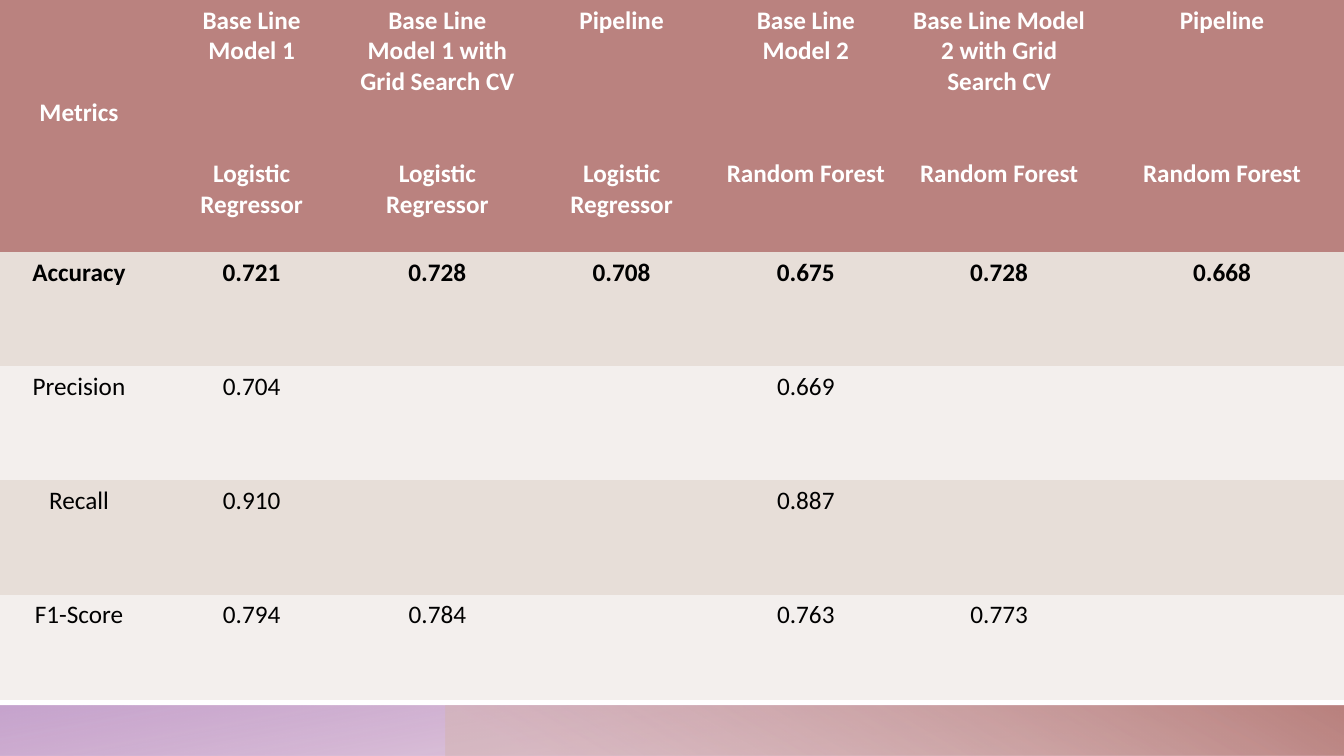
from lxml import etree
from pptx import Presentation
from pptx.dml.color import RGBColor
from pptx.enum import shapes, text
from pptx.oxml.ns import qn
from pptx.util import Inches, Pt

ROSE = RGBColor(0xBA, 0x82, 0x7F)
PALE_ROSE = RGBColor(0xD6, 0xB4, 0xB2)
MAUVE = RGBColor(0xBA, 0x7F, 0xAD)
LILAC = RGBColor(0xBC, 0x94, 0xC5)
SAND = RGBColor(0xE7, 0xDE, 0xD8)
LIGHT_SAND = RGBColor(0xF3, 0xEF, 0xED)
WHITE = RGBColor(0xFF, 0xFF, 0xFF)
BLACK = RGBColor(0, 0, 0)

FONT = "Calibri"
FONT_SIZE = 18
LINE_HEIGHT = 22
MODEL_LINE = 5
NO_GRID_STYLE = "{2D5ABB26-0587-4C30-8999-92F81FD0307C}"

COLUMN_WIDTHS = [1.57, 1.86, 1.83, 1.83, 1.83, 2.01, 2.42]
ROW_HEIGHTS = [2.5, 1.13, 1.13, 1.13, 1.05]

HEADERS = [
    ("Base Line Model 1", "Logistic Regressor", 2),
    ("Base Line Model 1 with Grid Search CV", "Logistic Regressor", 3),
    ("Pipeline", "Logistic Regressor", 1),
    ("Base Line Model 2", "Random Forest", 2),
    ("Base Line Model 2 with Grid Search CV", "Random Forest", 3),
    ("Pipeline", "Random Forest", 1),
]
SCORES = [
    ["Accuracy", "0.721", "0.728", "0.708", "0.675", "0.728", "0.668"],
    ["Precision", "0.704", "", "", "0.669", "", ""],
    ["Recall", "0.910", "", "", "0.887", "", ""],
    ["F1-Score", "0.794", "0.784", "", "0.763", "0.773", ""],
]


def write_text(paragraph, content, color=BLACK, bold=False, space_before=0):
    paragraph.alignment = text.PP_ALIGN.CENTER
    paragraph.space_before = Pt(space_before)
    run = paragraph.add_run()
    run.text = content
    run.font.name = FONT
    run.font.size = Pt(FONT_SIZE)
    run.font.bold = bold
    run.font.color.rgb = color


def fill_cell(cell, color):
    cell.fill.solid()
    cell.fill.fore_color.rgb = color


def add_band(slide, left, top, width, height, stops, angle, rotation=0):
    band = slide.shapes.add_shape(
        shapes.MSO_SHAPE.RECTANGLE,
        Inches(left), Inches(top), Inches(width), Inches(height))
    band.shadow.inherit = False
    band.line.fill.background()
    band.rotation = rotation
    band._element.spPr.find(qn("a:xfrm")).set("flipH", "1")
    band.fill.gradient()
    band.fill.gradient_angle = 360 - angle
    for stop, (position, color, _) in zip(band.fill.gradient_stops, stops):
        stop.position = position
        stop.color.rgb = color
    colors = band._element.spPr.iter(qn("a:srgbClr"))
    for element, (_, _, opacity) in zip(list(colors), stops):
        if opacity < 100:
            alpha = etree.SubElement(element, qn("a:alpha"))
            alpha.set("val", str(opacity * 1000))


def add_footer(slide, left, top, width, height):
    add_band(slide, left, top, width, height,
             [(0.14, MAUVE, 28), (1, LILAC, 85)], 100, rotation=180)
    inset = 4.42
    add_band(slide, left + inset, top, width - inset, height,
             [(0.09, PALE_ROSE, 55), (0.99, ROSE, 100)], 240)


def write_header(table):
    metrics = table.cell(0, 0)
    metrics.margin_top = Inches(0.05) + Pt(3 * LINE_HEIGHT)
    write_text(metrics.text_frame.paragraphs[0], "Metrics", WHITE, bold=True)
    for column, (title, model, title_lines) in enumerate(HEADERS, 1):
        frame = table.cell(0, column).text_frame
        write_text(frame.paragraphs[0], title, WHITE, bold=True)
        write_text(frame.add_paragraph(), model, WHITE, bold=True,
                   space_before=(MODEL_LINE - title_lines) * LINE_HEIGHT)


def add_score_table(slide, left, top, width, height):
    table = slide.shapes.add_table(
        len(ROW_HEIGHTS), len(COLUMN_WIDTHS),
        Inches(left), Inches(top), Inches(width), Inches(height)).table
    table._tbl.tblPr.find(qn("a:tableStyleId")).text = NO_GRID_STYLE
    for column, share in zip(table.columns, COLUMN_WIDTHS):
        column.width = Inches(share * width / sum(COLUMN_WIDTHS))
    for row, share in zip(table.rows, ROW_HEIGHTS):
        row.height = Inches(share * height / sum(ROW_HEIGHTS))
    for cell in table.rows[0].cells:
        fill_cell(cell, ROSE)
    write_header(table)
    for index, scores in enumerate(SCORES, 1):
        for cell, score in zip(table.rows[index].cells, scores):
            fill_cell(cell, SAND if index % 2 else LIGHT_SAND)
            if score:
                write_text(cell.text_frame.paragraphs[0], score, bold=index == 1)


def main():
    presentation = Presentation()
    presentation.slide_width = Inches(13.33)
    presentation.slide_height = Inches(7.5)
    slide = presentation.slides.add_slide(presentation.slide_layouts[6])
    add_footer(slide, 0, 7, 13.33, 0.5)
    add_score_table(slide, 0, 0, 13.33, 6.95)
    presentation.save("out.pptx")


if __name__ == "__main__":
    main()
